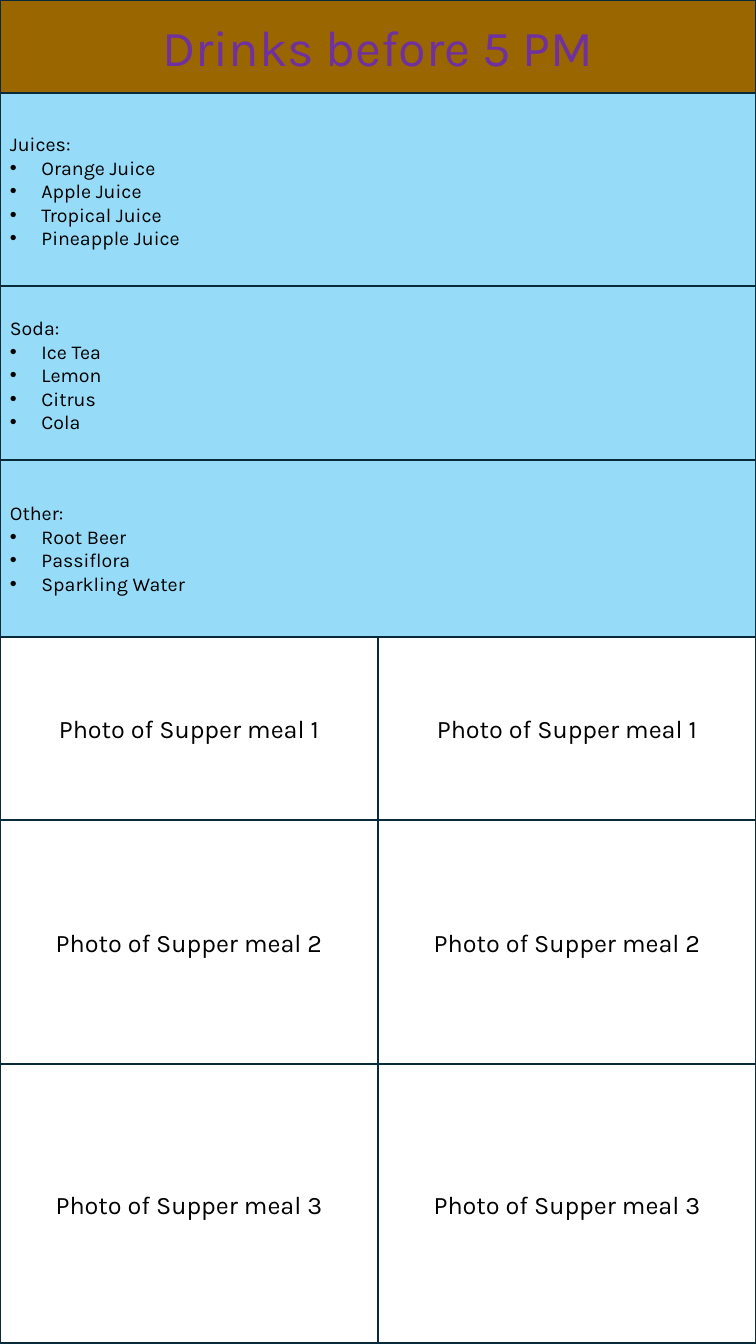
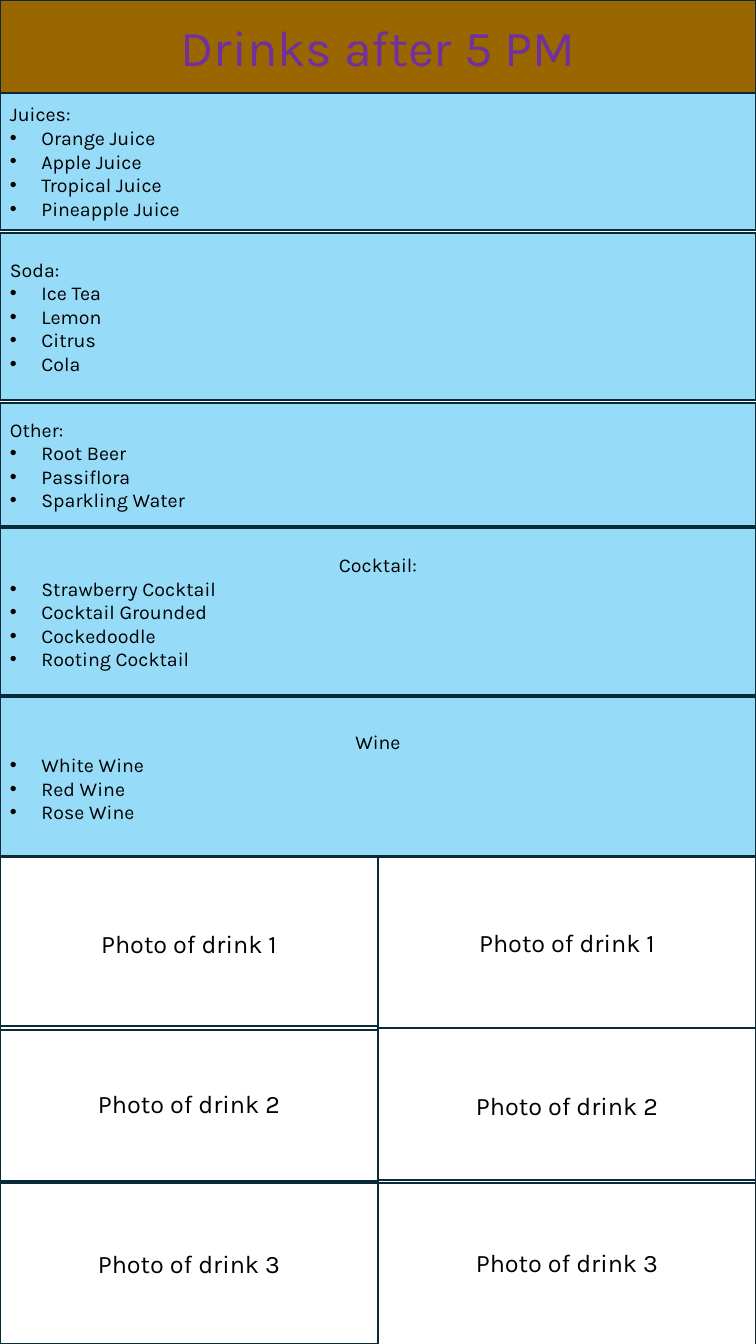
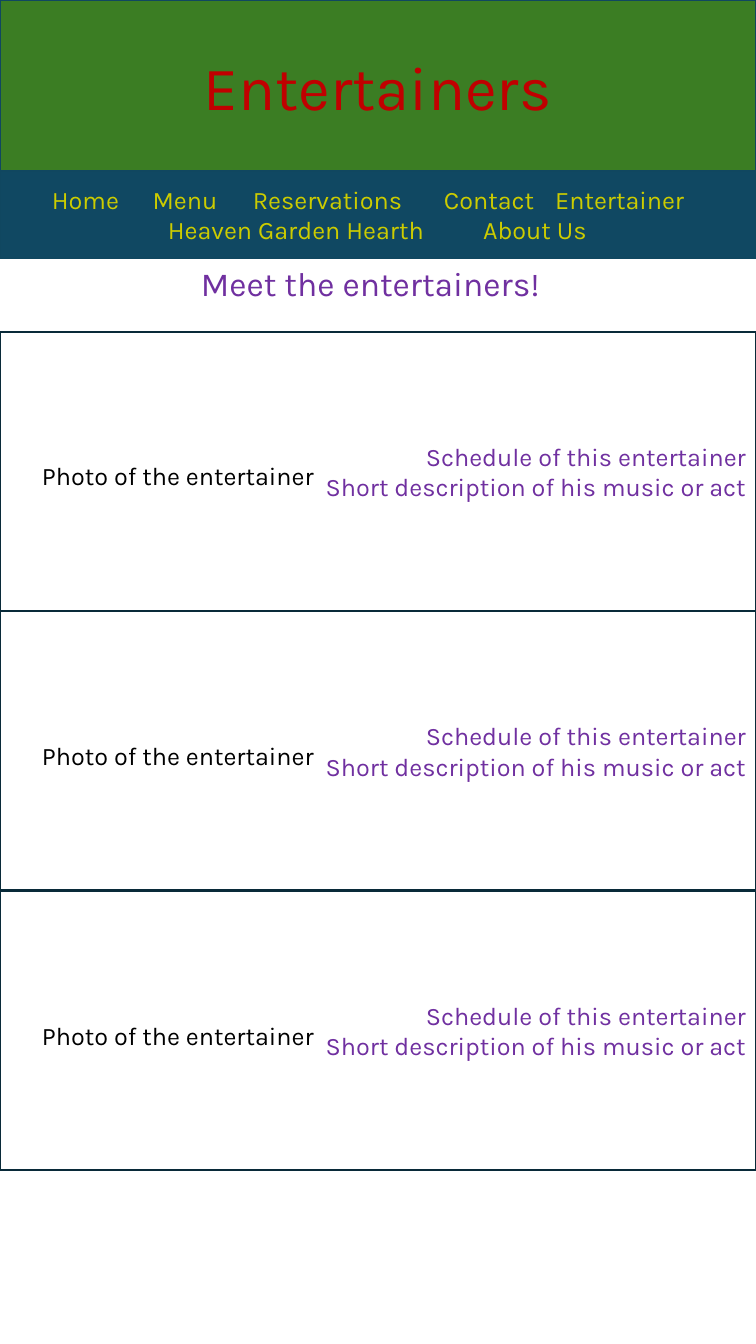
"""Build three portrait menu slides: drinks before 5 PM, drinks after 5 PM, entertainers."""
from lxml import etree
from pptx import Presentation
from pptx.dml.color import RGBColor
from pptx.enum.shapes import MSO_SHAPE
from pptx.enum.text import MSO_ANCHOR, MSO_AUTO_SIZE, PP_ALIGN
from pptx.oxml.ns import qn
from pptx.util import Pt

RECTANGLE = MSO_SHAPE.RECTANGLE
MIDDLE, TOP = MSO_ANCHOR.MIDDLE, MSO_ANCHOR.TOP
LEFT, CENTER, RIGHT = PP_ALIGN.LEFT, PP_ALIGN.CENTER, PP_ALIGN.RIGHT
NO_AUTOFIT = MSO_AUTO_SIZE.NONE

WIDTH, HEIGHT = 540, 960
HALF = WIDTH / 2
FONT = "Karla"
BROWN, SKY, GREEN, NAVY = "996600", "96DCF8", "3B7D23", "104862"
OUTLINE, BAND_OUTLINE = "092A39", "104760"
BLACK, PURPLE, RED, YELLOW = "000000", "7030A0", "C00000", "CCCC00"
HEADER_HEIGHT = 66.2
BULLET_INDENT = 22.5

JUICES = ("Juices:", ["Orange Juice", "Apple Juice", "Tropical Juice", "Pineapple Juice"], LEFT)
SODA = ("Soda:", ["Ice Tea", "Lemon", "Citrus", "Cola"], LEFT)
OTHER = ("Other:", ["Root Beer", "Passiflora", "Sparkling Water"], LEFT)
COCKTAIL = ("Cocktail:", ["Strawberry Cocktail", "Cocktail Grounded", "Cockedoodle",
                          "Rooting Cocktail"], CENTER)
WINE = ("Wine", ["White Wine", "Red Wine", "Rose Wine"], CENTER)

SUPPER_ROWS = [(455, 131), (586, 174.2), (760.3, 199.4)]
DRINK_MENUS = [
    {
        "title": "Drinks before 5 PM",
        "groups": [(JUICES, 66.2, 140.4), (SODA, 204.5, 126.7), (OTHER, 328.3, 126.7)],
        "photo": "Photo of Supper meal",
        "photo_columns": [SUPPER_ROWS, SUPPER_ROWS],
    },
    {
        "title": "Drinks after 5 PM",
        "groups": [(JUICES, 66.2, 97.9), (SODA, 166.3, 119.5), (OTHER, 288, 87.8),
                   (COCKTAIL, 377.3, 119.5), (WINE, 497.5, 114.5)],
        "photo": "Photo of drink",
        "photo_columns": [[(611.3, 124.6), (733, 110.9), (845.3, 114.5)],
                          [(611.3, 123.1), (734.4, 110.9), (843.1, 117.4)]],
    },
]

NAVIGATION = [
    [("Home", 30), ("Menu", 102), ("Reservations", 173.5), ("Contact", 310), ("Entertainer", 389.5)],
    [("Heaven Garden Hearth", 112.8), ("About Us", 338)],
]
ENTERTAINER_LINES = ["Schedule of this entertainer", "Short description of his music or act"]
ENTERTAINER_COUNT = 3
CARD_TOP, CARD_HEIGHT, CARD_STEP = 236.9, 199.4, 199.8
CAPTION_OFFSET = 88.5


def color(hex_string):
    return RGBColor.from_string(hex_string)


def paint(shape, fill, outline):
    if fill:
        shape.fill.solid()
        shape.fill.fore_color.rgb = color(fill)
    else:
        shape.fill.background()
    shape.line.color.rgb = color(outline)
    shape.line.width = Pt(1.5)


def write(shape, lines, size, ink, align=CENTER, anchor=MIDDLE):
    frame = shape.text_frame
    frame.word_wrap = True
    frame.auto_size = NO_AUTOFIT
    frame.vertical_anchor = anchor
    frame.text = "\n".join(lines)
    for paragraph in frame.paragraphs:
        paragraph.alignment = align
        paragraph.font.name = FONT
        paragraph.font.size = Pt(size)
        paragraph.font.color.rgb = color(ink)
    return frame.paragraphs


def add_box(slide, left, top, width, height, fill=None, outline=OUTLINE):
    box = slide.shapes.add_shape(RECTANGLE, Pt(left), Pt(top), Pt(width), Pt(height))
    box.shadow.inherit = False
    paint(box, fill, outline)
    return box


def add_label(slide, left, top, width, height, text, size, ink):
    label = slide.shapes.add_textbox(Pt(left), Pt(top), Pt(width), Pt(height))
    write(label, [text], size, ink, anchor=TOP)


def add_titled_slide(deck, text, height, size, ink, fill, outline):
    slide = deck.slides.add_slide(deck.slide_layouts[5])
    title = slide.shapes.title
    title.left, title.top, title.width, title.height = Pt(0), Pt(0), Pt(WIDTH), Pt(height)
    paint(title, fill, outline)
    write(title, [text], size, ink)
    return slide


def set_bullet(paragraph):
    properties = paragraph._p.get_or_add_pPr()
    properties.set("marL", str(Pt(BULLET_INDENT)))
    properties.set("indent", str(-Pt(BULLET_INDENT)))
    etree.SubElement(properties, qn("a:buFont")).set("typeface", "Arial")
    etree.SubElement(properties, qn("a:buChar")).set("char", "•")


def set_tab_stops(paragraph, stops):
    tab_list = etree.Element(qn("a:tabLst"))
    for stop in stops:
        etree.SubElement(tab_list, qn("a:tab"), pos=str(Pt(stop)), algn="l")
    properties = paragraph._p.get_or_add_pPr()
    defaults = properties.find(qn("a:defRPr"))
    if defaults is None:
        properties.append(tab_list)
    else:
        defaults.addprevious(tab_list)


def add_drink_group(slide, group, top, height):
    heading, drinks, heading_align = group
    box = add_box(slide, 0, top, WIDTH, height, SKY)
    first, *items = write(box, [heading, *drinks], 14, BLACK, LEFT)
    first.alignment = heading_align
    for item in items:
        set_bullet(item)
        properties = item._p.pPr
        defaults = properties.find(qn("a:defRPr"))
        if defaults is not None:
            properties.append(defaults)


def build_drink_menu(deck, menu):
    slide = add_titled_slide(deck, menu["title"], HEADER_HEIGHT, 36, PURPLE, BROWN, OUTLINE)
    for group, top, height in menu["groups"]:
        add_drink_group(slide, group, top, height)
    for column, rows in enumerate(menu["photo_columns"]):
        for number, (top, height) in enumerate(rows, 1):
            photo = add_box(slide, column * HALF, top, HALF, height)
            write(photo, [f"{menu['photo']} {number}"], 18, BLACK)


def build_entertainers(deck):
    slide = add_titled_slide(deck, "Entertainers", 122.4, 44, RED, GREEN, BAND_OUTLINE)
    navigation = add_box(slide, 0, 122.4, WIDTH, 61.9, NAVY, BAND_OUTLINE)
    rows = ["".join(f"\t{name}" for name, _ in row) for row in NAVIGATION]
    for paragraph, row in zip(write(navigation, rows, 18, YELLOW, LEFT), NAVIGATION):
        set_tab_stops(paragraph, [stop for _, stop in row])
    add_label(slide, 0, 184.3, 529.2, 36, "Meet the entertainers!", 24, PURPLE)
    for index in range(ENTERTAINER_COUNT):
        top = CARD_TOP + index * CARD_STEP
        card = add_box(slide, 0, top, WIDTH, CARD_HEIGHT)
        write(card, ENTERTAINER_LINES, 18, PURPLE, RIGHT)
        add_label(slide, 0, top + CAPTION_OFFSET, 254.2, 29, "Photo of the entertainer", 18, BLACK)


def main():
    deck = Presentation()
    deck.slide_width, deck.slide_height = Pt(WIDTH), Pt(HEIGHT)
    for menu in DRINK_MENUS:
        build_drink_menu(deck, menu)
    build_entertainers(deck)
    deck.save("out.pptx")


if __name__ == "__main__":
    main()
